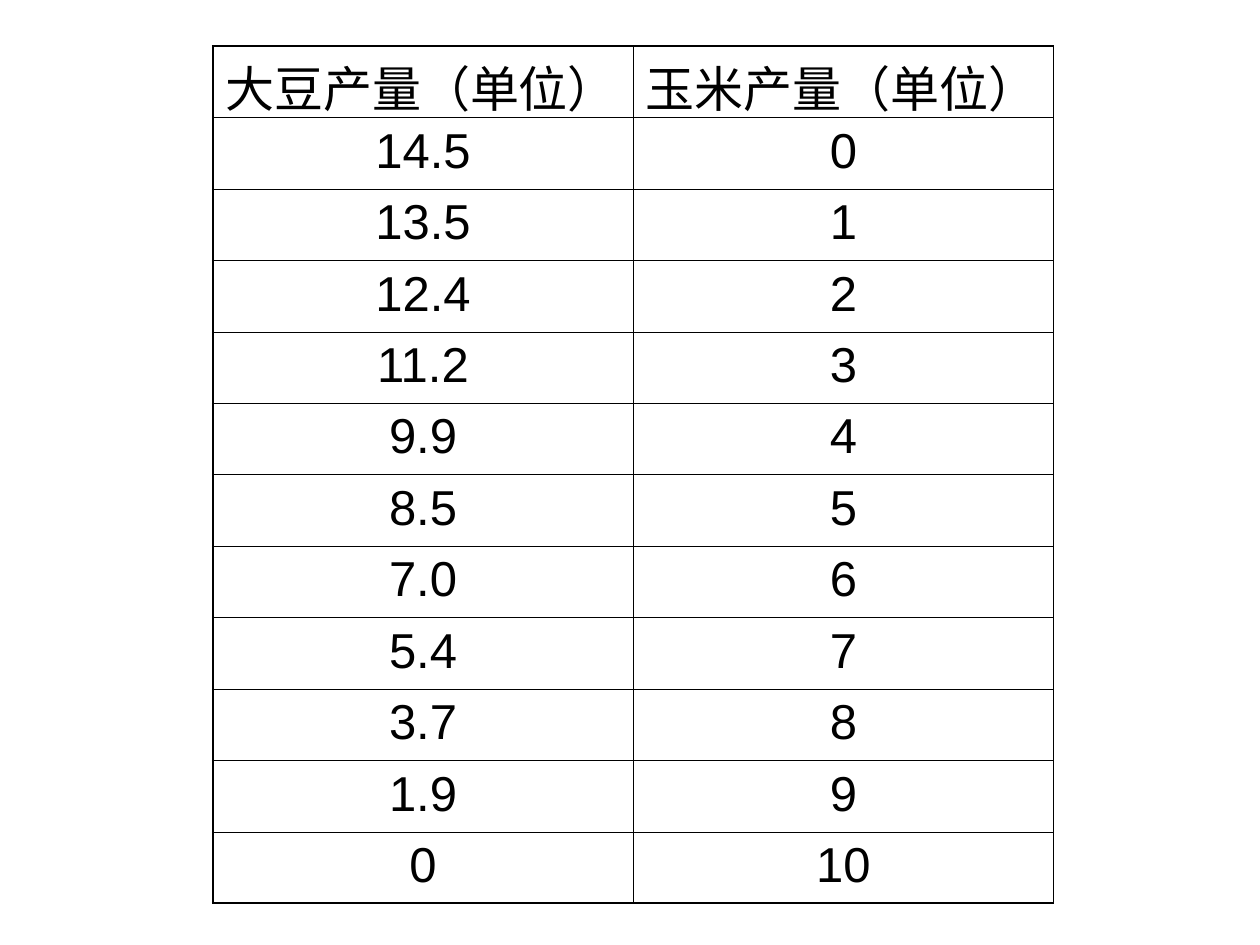
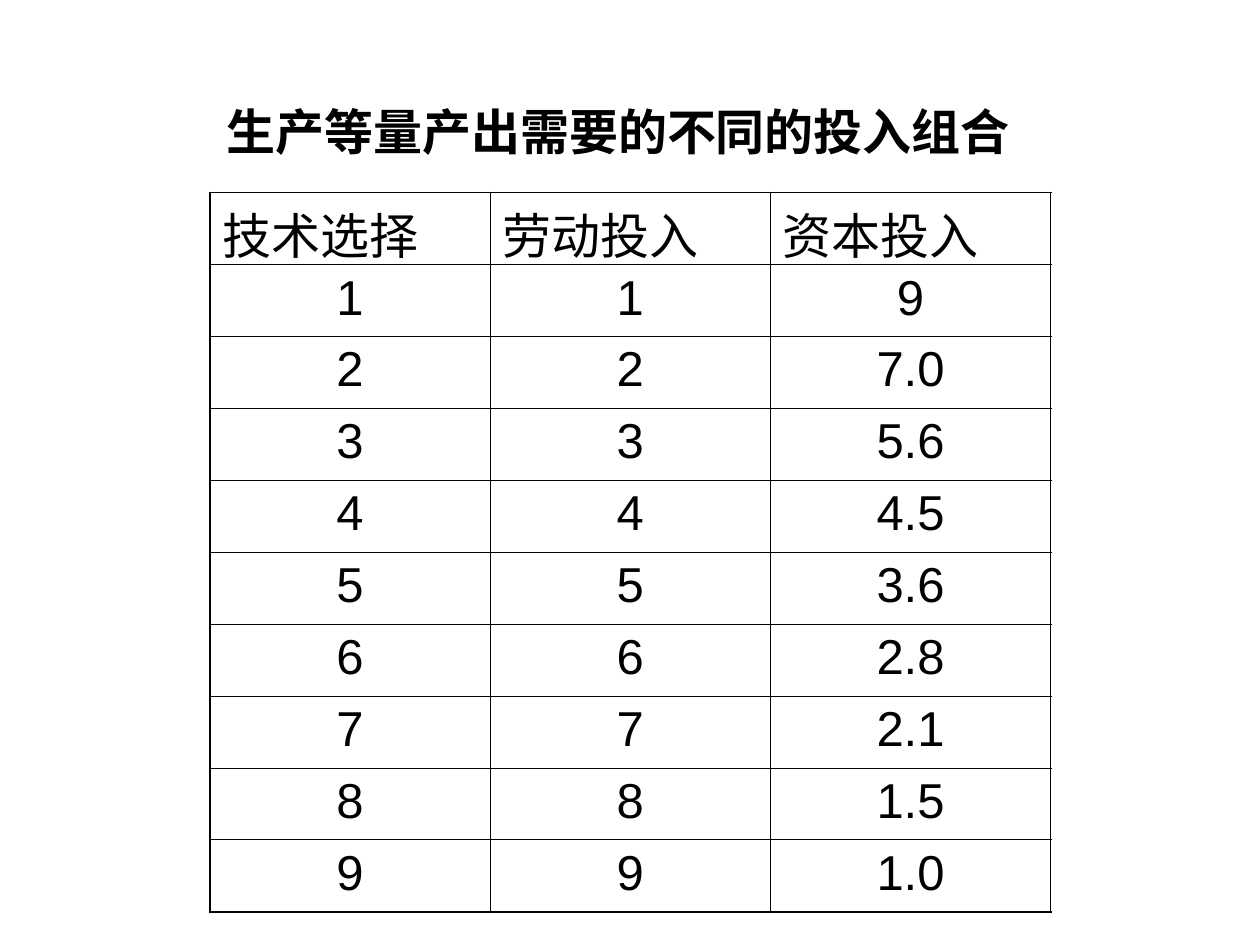
from lxml.etree import SubElement
from pptx import Presentation
from pptx.dml.color import RGBColor
from pptx.enum.text import MSO_ANCHOR, MSO_AUTO_SIZE, PP_ALIGN
from pptx.oxml.ns import qn
from pptx.util import Cm, Pt

YIELD_HEADERS = ("大豆产量（单位）", "玉米产量（单位）")
SOYBEAN_YIELDS = ("14.5", "13.5", "12.4", "11.2", "9.9", "8.5",
                  "7.0", "5.4", "3.7", "1.9", "0")
YIELD_ROWS = [(soybean, str(corn)) for corn, soybean in enumerate(SOYBEAN_YIELDS)]

INPUT_TITLE = "生产等量产出需要的不同的投入组合"
INPUT_HEADERS = ("技术选择", "劳动投入", "资本投入")
CAPITAL_INPUTS = ("9", "7.0", "5.6", "4.5", "3.6", "2.8", "2.1", "1.5", "1.0")
INPUT_ROWS = [(str(labour), str(labour), capital)
              for labour, capital in enumerate(CAPITAL_INPUTS, start=1)]

COLORS = {"ink": "000000", "paper": "FFFFFF"}
FONT = "Arial"
TEXT_SIZE = Pt(28)
TABLE_WIDTH = Cm(16.95)
OUTER_LINE, INNER_LINE = Pt(1.08), Pt(0.45)


def style_text(paragraph, bold=False):
    """Set the shared font, for Latin and Chinese characters alike."""
    font = paragraph.font
    font.name, font.size, font.bold = FONT, TEXT_SIZE, bold
    font.color.rgb = RGBColor.from_string(COLORS["ink"])
    for run in paragraph.runs:
        run.font.name = FONT
        SubElement(run.font._element, qn("a:ea"), typeface=FONT)


def add_borders(cell, outer_sides):
    """Rule all four sides, heavier where the cell meets the table's edge."""
    properties = cell._tc.get_or_add_tcPr()
    for side, is_outer in outer_sides.items():
        width = OUTER_LINE if is_outer else INNER_LINE
        line = SubElement(properties, qn(f"a:ln{side}"), w=str(int(width)))
        fill = SubElement(line, qn("a:solidFill"))
        SubElement(fill, qn("a:srgbClr"), val=COLORS["ink"])


def add_ruled_table(slide, headers, rows, left, top, row_height):
    lines = [headers, *rows]
    last_row, last_column = len(lines) - 1, len(headers) - 1
    table = slide.shapes.add_table(len(lines), len(headers), left, top,
                                   TABLE_WIDTH, row_height * len(lines)).table
    table.first_row = table.horz_banding = False
    for r, values in enumerate(lines):
        table.rows[r].height = row_height
        for c, value in enumerate(values):
            cell = table.cell(r, c)
            cell.text = value
            paragraph = cell.text_frame.paragraphs[0]
            paragraph.space_before = Pt(7)
            paragraph.alignment = PP_ALIGN.CENTER if r else PP_ALIGN.LEFT
            style_text(paragraph)
            if r == 0:
                cell.vertical_anchor = MSO_ANCHOR.BOTTOM
                cell.margin_bottom = 0
            add_borders(cell, {"L": c == 0, "R": c == last_column,
                               "T": r == 0, "B": r == last_row})
            cell.fill.background()


def add_title(slide, title):
    frame = slide.shapes.add_textbox(Cm(4.32), Cm(1.93), Cm(16.4), Cm(1.45)).text_frame
    frame.word_wrap = False
    frame.auto_size = MSO_AUTO_SIZE.SHAPE_TO_FIT_TEXT
    frame.text = title
    style_text(frame.paragraphs[0], bold=True)


def add_blank_slide(deck):
    slide = deck.slides.add_slide(deck.slide_layouts[6])
    slide.background.fill.solid()
    slide.background.fill.fore_color.rgb = RGBColor.from_string(COLORS["paper"])
    return slide


def main():
    deck = Presentation()
    deck.slide_width, deck.slide_height = Cm(25.4), Cm(19.05)

    yields = add_blank_slide(deck)
    add_ruled_table(yields, YIELD_HEADERS, YIELD_ROWS, Cm(4.29), Cm(0.93), Cm(1.44))

    inputs = add_blank_slide(deck)
    add_ruled_table(inputs, INPUT_HEADERS, INPUT_ROWS, Cm(4.23), Cm(3.88), Cm(1.45))
    add_title(inputs, INPUT_TITLE)

    deck.save("out.pptx")


if __name__ == "__main__":
    main()
